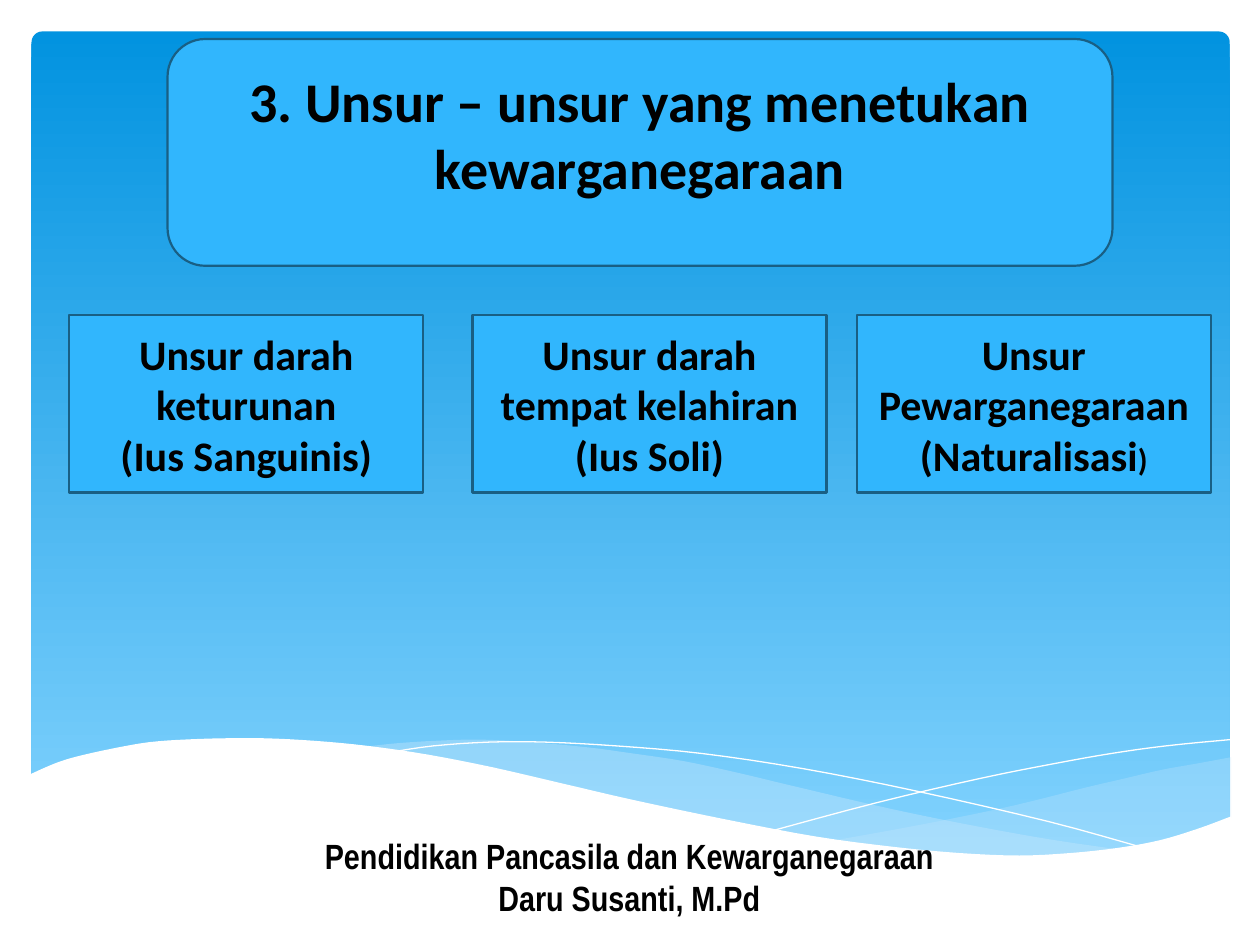
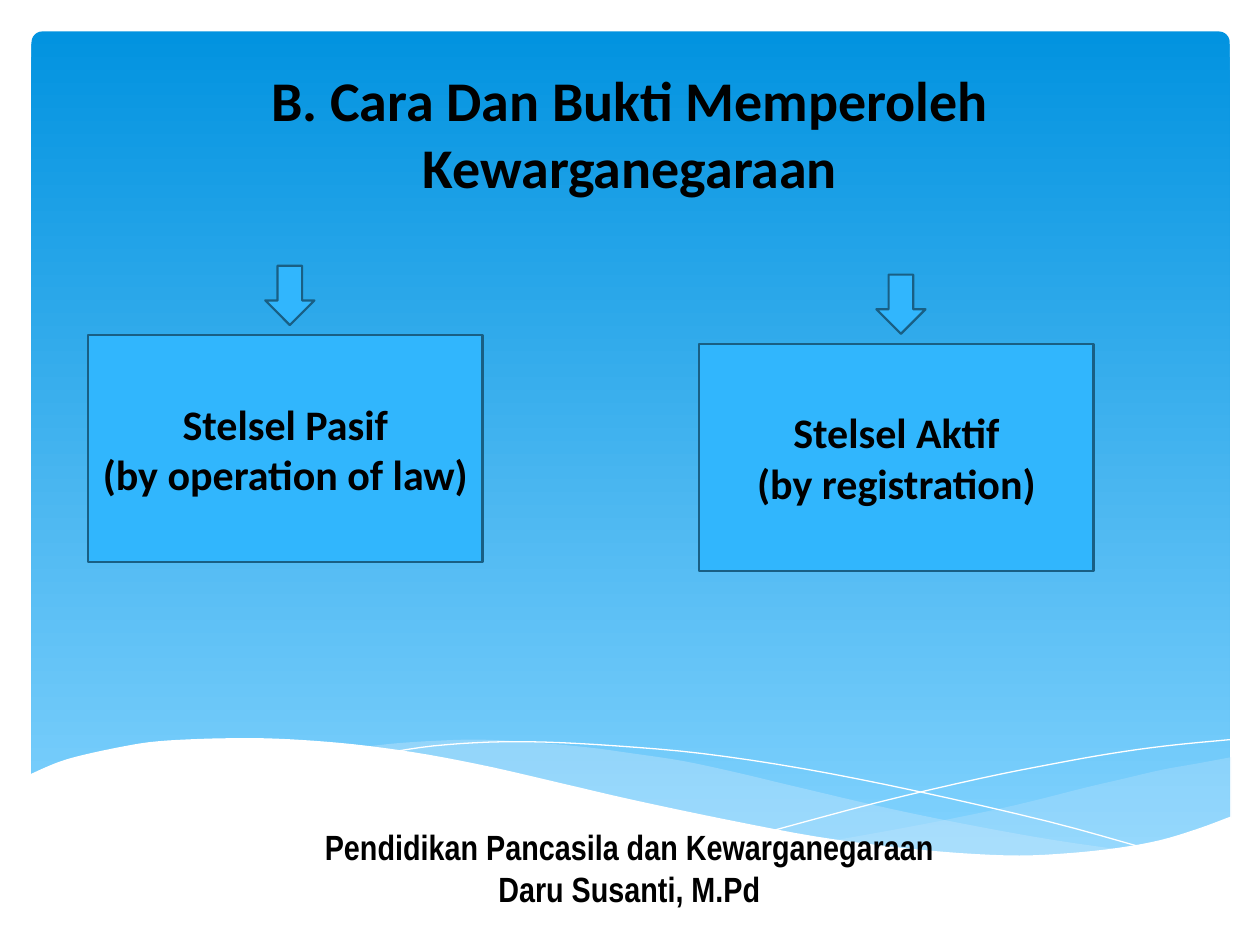
from dataclasses import dataclass
from typing import NamedTuple, Optional

from lxml.etree import SubElement
from pptx import Presentation
from pptx.dml.color import RGBColor
from pptx.enum.shapes import MSO_SHAPE
from pptx.enum.text import MSO_ANCHOR, PP_ALIGN
from pptx.oxml.ns import qn
from pptx.shapes.autoshape import Shape
from pptx.slide import Slide
from pptx.util import Emu, Inches, Pt

SLIDE_WIDTH, SLIDE_HEIGHT = Inches(10), Inches(7.5)
COLUMNS, ROWS = 100, 75


@dataclass(frozen=True)
class Theme:
    sky_top: RGBColor = RGBColor(0x02, 0x93, 0xE0)
    sky_bottom: RGBColor = RGBColor(0x83, 0xD3, 0xFE)
    mist: RGBColor = RGBColor(0xC6, 0xE7, 0xFC)
    white: RGBColor = RGBColor(0xFF, 0xFF, 0xFF)
    panel: RGBColor = RGBColor(0x31, 0xB6, 0xFD)
    panel_edge: RGBColor = RGBColor(0x19, 0x5F, 0x84)
    ink: RGBColor = RGBColor(0, 0, 0)
    font: str = "Calibri"
    footer_font: str = "Arial Narrow"
    title_size: float = 32
    panel_size: float = 24
    footer_size: float = 20
    small_size: float = 18
    edge_width: float = 1.25


THEME = Theme()


class Area(NamedTuple):
    """A rectangle in columns and rows of the slide grid."""
    left: float
    top: float
    width: float
    height: float

    def emu(self) -> tuple[Emu, Emu, Emu, Emu]:
        return (across(self.left), down(self.top),
                across(self.width), down(self.height))


Point = tuple[float, float]


@dataclass(frozen=True)
class Wave:
    """Smooth curves joined by straight edges; without opacity only a thin line."""
    curves: tuple[tuple[Point, ...], ...]
    color: RGBColor
    opacity: Optional[int] = None


@dataclass(frozen=True)
class Panel:
    area: Area
    text: str
    closing: str = ""


SKY = Area(2.5, 2.5, 95.1, 66)
SKY_CORNER = 0.013

WAVES = (
    Wave((
        ((97.7, 60.1), (95, 60.6), (92.2, 61.1), (89.2, 61.8), (86.2, 62.5),
         (80.6, 63.9), (75.4, 65), (70.7, 65.9), (66.2, 66.7)),
        ((66.2, 66.7), (70.6, 67.3), (74.6, 67.7), (78.2, 67.9), (81.5, 68),
         (85.5, 67.8), (89, 67.4), (92.2, 66.7), (95.1, 65.9), (97.7, 64.9)),
    ), THEME.mist, 29),
    Wave((
        ((89.4, 67.5), (83.8, 66.7), (77.6, 65.6), (70.7, 64.2), (63, 62.4),
         (58.4, 61.3), (54.2, 60.4), (50.2, 59.8), (46.5, 59.3), (42, 58.9),
         (38, 58.7), (34.5, 58.8), (31.4, 59), (28.7, 59.3)),
        ((28.7, 59.3), (32.3, 59.8), (36.3, 60.4), (40.5, 61.3), (45, 62.4),
         (53, 64.2), (60.2, 65.7), (66.6, 66.8), (72.3, 67.6), (77.4, 67.9),
         (81.9, 68), (85.9, 67.9), (89.4, 67.5)),
    ), THEME.mist, 40),
    Wave((
        ((31, 59.7), (34.4, 59.2), (38.8, 58.9), (43.3, 58.9), (48.9, 59.2),
         (55.7, 59.8), (63.7, 61), (72.8, 62.8), (83.2, 65.2), (90.8, 67.3)),
    ), THEME.white),
    Wave((
        ((61.4, 65.9), (69.6, 63.7), (77.7, 61.8), (83.7, 60.6), (88.2, 59.8),
         (92.5, 59.2), (97.6, 58.7)),
    ), THEME.white),
    Wave((
        ((97.7, 64.8), (95, 65.8), (92, 66.7), (88.7, 67.3), (85, 67.7),
         (80.9, 67.9), (76.1, 67.7), (70.8, 67.2), (64.8, 66.4), (57.9, 65.1),
         (50.3, 63.5), (44.7, 62.2), (39.1, 60.9), (34, 59.9), (29.2, 59.2),
         (25, 58.8), (21.1, 58.6), (17.7, 58.6), (14.6, 58.7), (11.9, 58.9),
         (9.5, 59.3), (6.7, 59.9), (4.6, 60.5), (2.3, 61.5)),
        ((2.3, 73.1), (97.7, 73.1)),
    ), THEME.white, 100),
)

FOOTER = "Pendidikan Pancasila dan Kewarganegaraan\nDaru Susanti, M.Pd"
ELEMENT_TITLE = "3. Unsur – unsur yang menetukan kewarganegaraan"
METHOD_TITLE = "B. Cara Dan Bukti Memperoleh Kewarganegaraan"

ELEMENTS = (
    Panel(Area(5.5, 25, 28.1, 14.1), "Unsur darah keturunan\n(Ius Sanguinis)"),
    Panel(Area(37.5, 25, 28.1, 14.1), "Unsur darah tempat kelahiran (Ius Soli)"),
    Panel(Area(68, 25, 28.1, 14.1), "Unsur Pewarganegaraan (Naturalisasi", ")"),
)
METHODS = (
    Panel(Area(7, 26.6, 31.3, 18), "Stelsel Pasif\n(by operation of law)"),
    Panel(Area(55.5, 27.3, 31.3, 18), "Stelsel Aktif\n(by registration)"),
)


def across(columns: float) -> Emu:
    return Emu(round(SLIDE_WIDTH * columns / COLUMNS))


def down(rows: float) -> Emu:
    return Emu(round(SLIDE_HEIGHT * rows / ROWS))


def smooth(knots: tuple[Point, ...], steps: int = 4) -> list[Point]:
    """Catmull-Rom curve through the knots."""
    padded = (knots[0], *knots, knots[-1])
    curve = [knots[0]]
    for a, b, c, d in zip(padded, padded[1:], padded[2:], padded[3:]):
        for step in range(1, steps + 1):
            t = step / steps
            x, y = (
                q + t / 2 * (r - p + t * (2 * p - 5 * q + 4 * r - s
                                          + t * (3 * (q - r) + s - p)))
                for p, q, r, s in zip(a, b, c, d)
            )
            curve.append((x, y))
    return curve


def write(shape: Shape, text: str, *, size: float, font: str = THEME.font,
          closing: str = "", anchor: MSO_ANCHOR = MSO_ANCHOR.TOP,
          bottom: float = 0.5) -> None:
    """Fill a shape with bold centred lines; closing is a smaller last run."""
    frame = shape.text_frame
    frame.word_wrap = True
    frame.vertical_anchor = anchor
    frame.margin_bottom = down(bottom)
    for number, line in enumerate(text.split("\n")):
        paragraph = frame.add_paragraph() if number else frame.paragraphs[0]
        paragraph.alignment = PP_ALIGN.CENTER
        paragraph.font.size = Pt(size)
        paragraph.font.name = font
        paragraph.font.bold = True
        paragraph.font.color.rgb = THEME.ink
        paragraph.add_run().text = line
    if closing:
        ending = paragraph.add_run()
        ending.text = closing
        ending.font.size = Pt(THEME.small_size)
    for paragraph in frame.paragraphs:
        for run in paragraph.runs:
            run.font.size = run.font.size or Pt(size)
            run.font.name = font
            run.font.bold = True
            run.font.color.rgb = THEME.ink


def draw_wave(slide: Slide, wave: Wave) -> None:
    filled = wave.opacity is not None
    start, *rest = [(across(x), down(y))
                    for curve in wave.curves for x, y in smooth(curve)]
    builder = slide.shapes.build_freeform(*start)
    builder.add_line_segments(rest, close=filled)
    shape = builder.convert_to_shape()
    shape.shadow.inherit = False
    if not filled:
        shape.fill.background()
        shape.line.color.rgb = wave.color
        shape.line.width = Pt(0)
        return
    shape.line.fill.background()
    shape.fill.solid()
    shape.fill.fore_color.rgb = wave.color
    if wave.opacity < 100:
        color = shape._element.spPr.find(f"{qn('a:solidFill')}/{qn('a:srgbClr')}")
        SubElement(color, qn("a:alpha"), val=str(wave.opacity * 1000))


def draw_sky(slide: Slide) -> None:
    sky = slide.shapes.add_shape(MSO_SHAPE.ROUNDED_RECTANGLE, *SKY.emu())
    sky.adjustments[0] = SKY_CORNER
    sky.shadow.inherit = False
    sky.line.fill.background()
    sky.fill.gradient()
    sky.fill.gradient_angle = 270
    for stop, color in zip(sky.fill.gradient_stops,
                           (THEME.sky_top, THEME.sky_bottom)):
        stop.color.rgb = color


def draw_block(slide: Slide, kind: MSO_SHAPE, area: Area) -> Shape:
    block = slide.shapes.add_shape(kind, *area.emu())
    block.shadow.inherit = False
    block.fill.solid()
    block.fill.fore_color.rgb = THEME.panel
    block.line.color.rgb = THEME.panel_edge
    block.line.width = Pt(THEME.edge_width)
    return block


def draw_panel(slide: Slide, panel: Panel) -> None:
    block = draw_block(slide, MSO_SHAPE.RECTANGLE, panel.area)
    write(block, panel.text, size=THEME.panel_size, closing=panel.closing,
          anchor=MSO_ANCHOR.MIDDLE)


def add_themed_slide(deck: Presentation, footer_top: float) -> Slide:
    slide = deck.slides.add_slide(deck.slide_layouts[6])
    draw_sky(slide)
    for wave in WAVES:
        draw_wave(slide, wave)
    footer = slide.shapes.add_textbox(*Area(3.5, footer_top, 92.9, 7.7).emu())
    write(footer, FOOTER, size=THEME.footer_size, font=THEME.footer_font)
    return slide


def add_elements_slide(deck: Presentation) -> None:
    slide = add_themed_slide(deck, footer_top=65.7)
    title = draw_block(slide, MSO_SHAPE.ROUNDED_RECTANGLE,
                       Area(13.3, 3.1, 75, 18))
    write(title, ELEMENT_TITLE, size=THEME.title_size,
          anchor=MSO_ANCHOR.MIDDLE, bottom=3.5)
    for element in ELEMENTS:
        draw_panel(slide, element)


def add_methods_slide(deck: Presentation) -> None:
    slide = add_themed_slide(deck, footer_top=65)
    title = slide.shapes.add_textbox(*Area(3.9, 4.7, 92.2, 11.8).emu())
    write(title, METHOD_TITLE, size=THEME.title_size)
    for method in METHODS:
        draw_panel(slide, method)
        left, top = method.area.left + 14.05, method.area.top - 5.5
        draw_block(slide, MSO_SHAPE.DOWN_ARROW, Area(left, top, 3.9, 4.7))


def main() -> None:
    deck = Presentation()
    deck.slide_width, deck.slide_height = SLIDE_WIDTH, SLIDE_HEIGHT
    add_elements_slide(deck)
    add_methods_slide(deck)
    deck.save("out.pptx")


if __name__ == "__main__":
    main()
